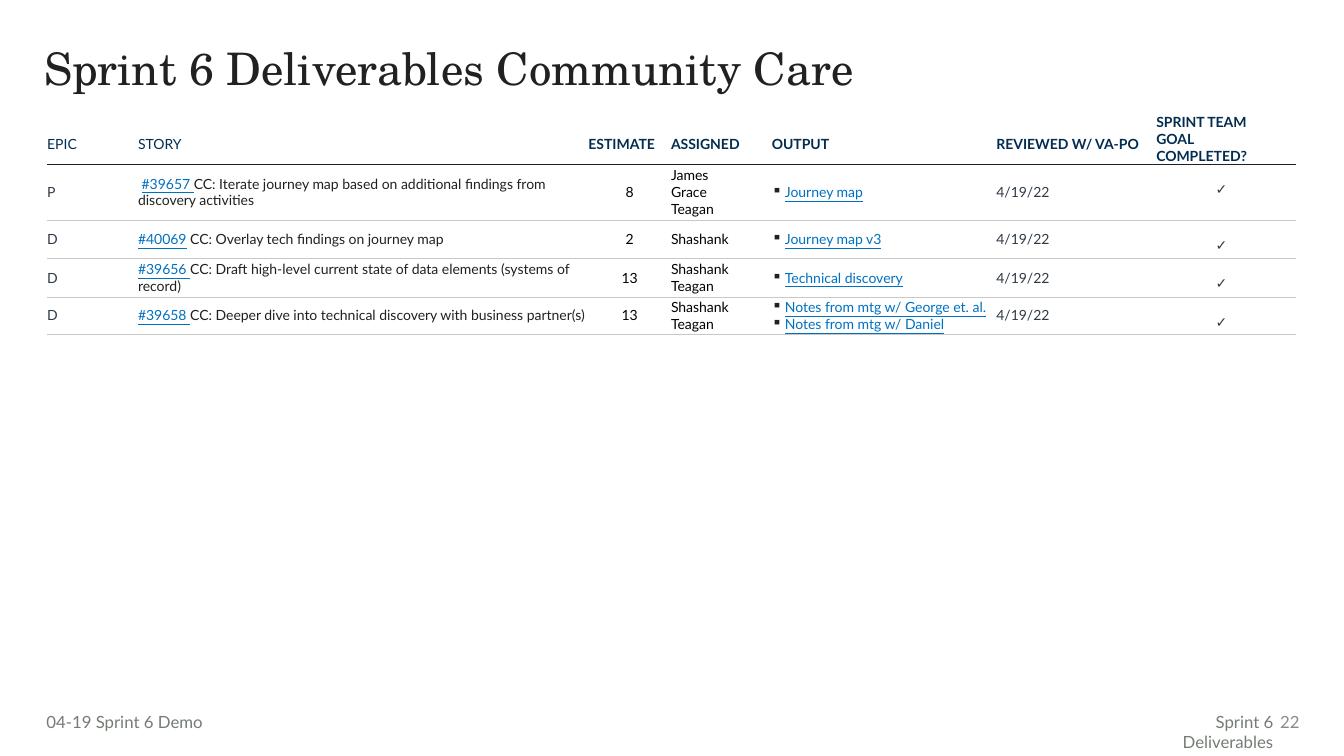
from dataclasses import dataclass

from lxml.etree import SubElement
from pptx import Presentation
from pptx.dml.color import RGBColor
from pptx.enum.text import MSO_ANCHOR, PP_ALIGN
from pptx.oxml.ns import qn
from pptx.util import Cm, Pt


@dataclass(frozen=True)
class Theme:
    heading_font: str = "TeX Gyre Schola"
    body_font: str = "Lato"
    ink: str = "202120"
    header: str = "022D50"
    muted: str = "303A46"
    black: str = "000000"
    link: str = "0071C0"
    footer: str = "747C74"
    page: str = "8A8A8A"
    rule: str = "C7C8C7"
    title_size: int = 32
    footer_size: int = 12
    table_size: int = 10


THEME = Theme()

# Table content
COLUMN_WIDTHS = [2.29, 11.35, 2.08, 2.54, 5.66, 3.78, 3.78]
ROW_HEIGHTS = [1.02, 1.4, 0.97, 0.97, 0.94]
HEADERS = ["EPIC", "STORY", "ESTIMATE", "ASSIGNED", "OUTPUT",
           "REVIEWED W/ VA-PO", "SPRINT TEAM GOAL COMPLETED?"]
# Epic, story (lead, issue, summary), estimate, assigned, output, reviewed
DELIVERABLES = [
    ("P", (" ", "#39657 ", "CC: Iterate journey map based on additional "
                           "findings from discovery activities"),
     "8", ["James", "Grace", "Teagan"], ["Journey map"], "4/19/22"),
    ("D", ("", "#40069", " CC: Overlay tech findings on journey map"),
     "2", ["Shashank"], ["Journey map v3"], "4/19/22"),
    ("D", ("", "#39656 ", "CC: Draft high-level current state of data "
                          "elements (systems of record)"),
     "13", ["Shashank", "Teagan"], ["Technical discovery"], "4/19/22"),
    ("D", ("", "#39658 ", "CC: Deeper dive into technical discovery with "
                          "business partner(s)"),
     "13", ["Shashank", "Teagan"],
     ["Notes from mtg w/ George et. al.", "Notes from mtg w/ Daniel"],
     "4/19/22"),
]


def style(font, size, color, name=THEME.body_font, bold=False, underline=False):
    font.name, font.size = name, Pt(size)
    font.color.rgb = RGBColor.from_string(color)
    font.bold, font.underline = bold, underline


def add_label(slide, text, box, size, color, name=THEME.body_font,
              align=PP_ALIGN.LEFT, anchor=MSO_ANCHOR.TOP, left_inset=0.25,
              spacing=1.0):
    frame = slide.shapes.add_textbox(*map(Cm, box)).text_frame
    frame.word_wrap = True
    frame.vertical_anchor = anchor
    frame.margin_left, frame.margin_right = Cm(left_inset), Cm(0.25)
    frame.margin_top = frame.margin_bottom = Cm(0.13)
    label = frame.paragraphs[0]
    label.text, label.alignment, label.line_spacing = text, align, spacing
    style(label.font, size, color, name)


def add_square_bullet(paragraph):
    properties = paragraph._p.get_or_add_pPr()
    properties.set("marL", str(Cm(0.33)))
    properties.set("indent", str(-Cm(0.33)))
    bullet_color = SubElement(properties, qn("a:buClr"))
    SubElement(bullet_color, qn("a:srgbClr"), val=THEME.ink)
    SubElement(properties, qn("a:buChar"), char="▪")


def set_border(cell, edge, color=None, width=0.5):
    line = SubElement(cell._tc.get_or_add_tcPr(), qn(f"a:{edge}"),
                      w=str(Pt(width)))
    if color:
        fill = SubElement(line, qn("a:solidFill"))
        SubElement(fill, qn("a:srgbClr"), val=color)
    else:
        SubElement(line, qn("a:noFill"))


def format_cell(cell, row, insets=(0, 0, 0, 0), anchor=MSO_ANCHOR.MIDDLE):
    (cell.margin_left, cell.margin_top,
     cell.margin_right, cell.margin_bottom) = map(Cm, insets)
    cell.vertical_anchor = anchor
    heavy, light = (THEME.ink, 1), (THEME.rule, 0.5)
    above = {0: (None,), 1: heavy}.get(row, light)
    set_border(cell, "lnL")
    set_border(cell, "lnR")
    set_border(cell, "lnT", *above)
    set_border(cell, "lnB", *(heavy if row == 0 else light))
    cell.fill.background()


def fill_cell(cell, lines, color, align=PP_ALIGN.LEFT, bold=False,
              linked=False):
    cell.text = "\n".join(lines)
    for paragraph in cell.text_frame.paragraphs:
        paragraph.alignment = align
        if linked:
            add_square_bullet(paragraph)
        style(paragraph.font, THEME.table_size, color, bold=bold,
              underline=linked)


def fill_story(cell, story):
    paragraph = cell.text_frame.paragraphs[0]
    for text, color in zip(story, (THEME.ink, THEME.link, THEME.ink)):
        if text:
            run = paragraph.add_run()
            run.text = text
            style(run.font, THEME.table_size, color,
                  underline=color == THEME.link)


def fill_header(table):
    last = len(HEADERS) - 1
    for column, heading in enumerate(HEADERS):
        cell = table.cell(0, column)
        if column == last:
            format_cell(cell, 0, (0.25, 0, 0.25, 0), MSO_ANCHOR.TOP)
        else:
            format_cell(cell, 0, (0, 0.25, 0.25 if column < 4 else 0, 0))
        fill_cell(cell, [heading], THEME.header, bold=column > 1)


def fill_deliverable(table, row, deliverable):
    epic, story, estimate, assigned, output, reviewed = deliverable
    cells = [table.cell(row, column) for column in range(len(HEADERS))]
    for column, cell in enumerate(cells[:-1]):
        format_cell(cell, row, (0, 0, 1.02 if column in (0, 3) else 0, 0))
    format_cell(cells[-1], row, (0, 0.42, 0, 0), MSO_ANCHOR.TOP)

    fill_cell(cells[0], [epic], THEME.muted)
    fill_story(cells[1], story)
    fill_cell(cells[2], [estimate], THEME.black, PP_ALIGN.CENTER)
    fill_cell(cells[3], assigned, THEME.black)
    fill_cell(cells[4], output, THEME.link, linked=True)
    fill_cell(cells[5], [reviewed], THEME.muted)
    fill_cell(cells[6], ["✓"], THEME.muted, PP_ALIGN.CENTER)


def add_deliverables_table(slide):
    table = slide.shapes.add_table(
        len(ROW_HEIGHTS), len(COLUMN_WIDTHS), Cm(1.19), Cm(2.87),
        Cm(sum(COLUMN_WIDTHS)), Cm(sum(ROW_HEIGHTS))).table
    table.first_row = table.horz_banding = False
    for column, width in zip(table.columns, COLUMN_WIDTHS):
        column.width = Cm(width)
    for row, height in zip(table.rows, ROW_HEIGHTS):
        row.height = Cm(height)
    fill_header(table)
    for row, deliverable in enumerate(DELIVERABLES, start=1):
        fill_deliverable(table, row, deliverable)


def main():
    deck = Presentation()
    deck.slide_width, deck.slide_height = Cm(33.87), Cm(19.05)
    slide = deck.slides.add_slide(deck.slide_layouts[6])

    # Title
    add_label(slide, "Sprint 6 Deliverables Community Care",
              (0.86, 1.04, 31.55, 2.08), THEME.title_size, THEME.ink,
              THEME.heading_font, spacing=0.9)

    # Deliverables
    add_deliverables_table(slide)

    # Footer
    add_label(slide, "04-19 Sprint 6 Demo", (1.17, 17.81, 7.57, 0.76),
              THEME.footer_size, THEME.footer, left_inset=0)
    add_label(slide, "Sprint 6 Deliverables", (28.17, 17.81, 4.17, 0.76),
              THEME.footer_size, THEME.footer, align=PP_ALIGN.RIGHT)
    add_label(slide, "22", (31.88, 17.68, 1.12, 1.02), THEME.footer_size,
              THEME.page, align=PP_ALIGN.RIGHT, anchor=MSO_ANCHOR.MIDDLE)

    deck.save("out.pptx")


if __name__ == "__main__":
    main()
